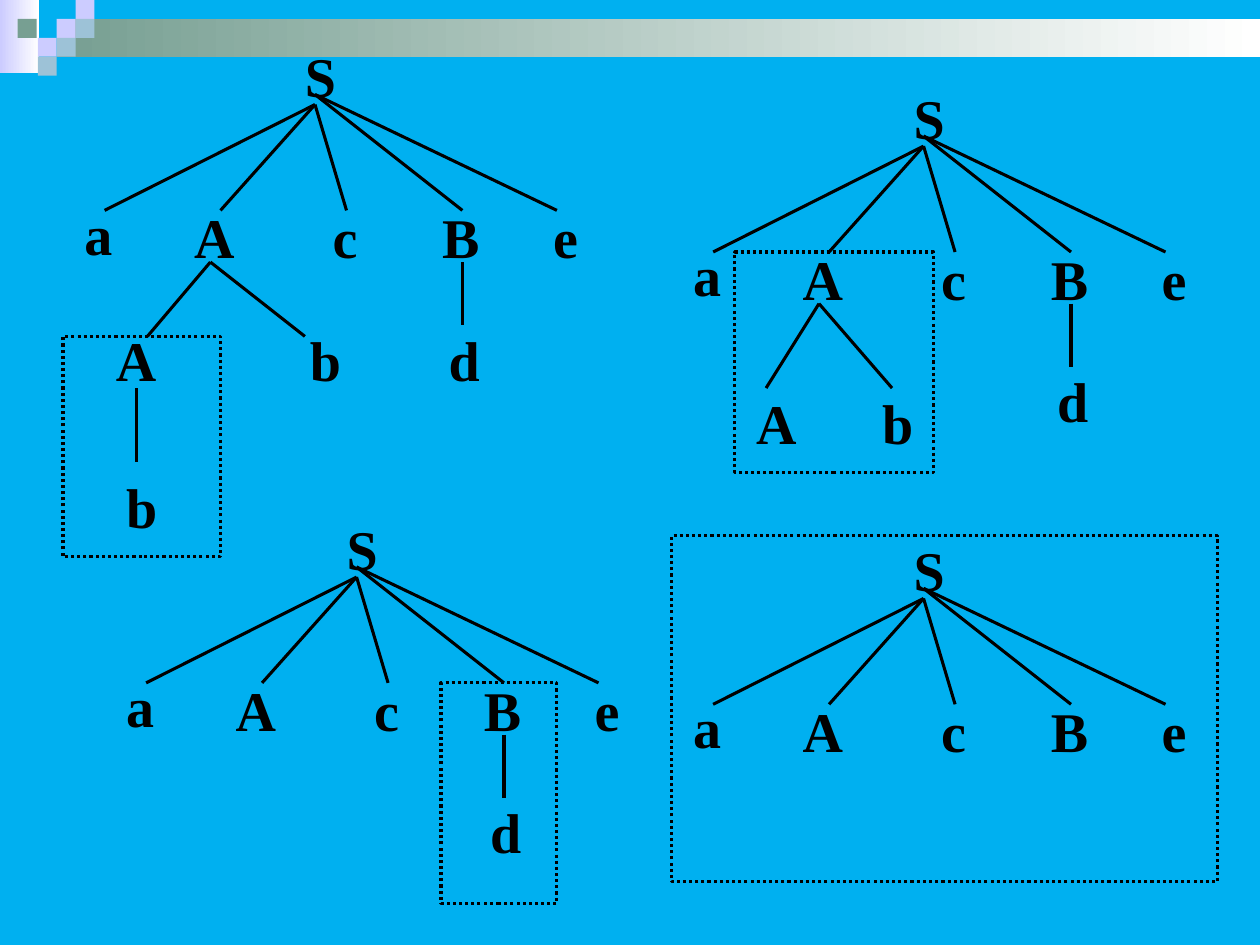
from typing import Any, NamedTuple

from lxml import etree
from pptx import Presentation
from pptx import util as u
from pptx.dml.color import RGBColor
from pptx.enum import dml, shapes, text
from pptx.oxml import ns

SKY = RGBColor(0x00, 0xB0, 0xF0)
BLACK = RGBColor(0x00, 0x00, 0x00)
WHITE = RGBColor(0xFF, 0xFF, 0xFF)
LILAC = RGBColor(0xCC, 0xCC, 0xFF)
SAGE = RGBColor(0x77, 0x9F, 0x92)
MIST = RGBColor(0x9D, 0xC2, 0xD7)

FONT = "Times New Roman"
SIZE = u.Pt(32)
LINE = u.Pt(1.75)
SIDE = 0.15
WIDTHS = {"S": 0.25, "a": 0.22, "A": 0.32, "c": 0.2, "B": 0.3,
          "e": 0.2, "b": 0.25, "d": 0.25}


class Box(NamedTuple):
    x: float
    y: float
    w: float
    h: float


class Label(NamedTuple):
    word: str
    x: float
    y: float


class Edge(NamedTuple):
    x1: float
    y1: float
    x2: float
    y2: float


class Branch(NamedTuple):
    """Labels and edges, measured from the apex of a tree."""
    labels: list[Label]
    edges: list[Edge]


class Tree(NamedTuple):
    x: float
    y: float
    limbs: list[Branch]
    frame: Box


# Branches shared by the trees
ROOT = Branch(
    [Label("S", -0.08, -0.42), Label("a", -1.83, 0.83), Label("A", -0.96, 0.86),
     Label("c", 0.14, 0.86), Label("B", 1.01, 0.86), Label("e", 1.89, 0.86)],
    [Edge(0, 0.08, x, 0.92) for x in (-1.67, -0.75, 0.25)]
    + [Edge(0, 0, x, 0.92) for x in (1.17, 1.92)])
B_TO_D = Branch([Label("d", 1.06, 1.83)], [Edge(1.17, 1.33, 1.17, 1.83)])
A_TO_AB = Branch([Label("A", -1.33, 2), Label("b", -0.33, 2)],
                 [Edge(-0.83, 1.33, x, 2) for x in (-1.25, -0.25)])
A_TO_AB_DEEP = Branch(
    [Label("A", -1.58, 1.83), Label("b", -0.04, 1.83), Label("b", -1.5, 3)],
    [Edge(-0.83, 1.33, x, 1.92) for x in (-1.33, -0.08)]
    + [Edge(-1.42, 2.33, -1.42, 2.92)])

TREES = [
    Tree(2.5, 0.75, [ROOT, B_TO_D, A_TO_AB_DEEP], Box(0.5, 2.67, 1.25, 1.75)),
    Tree(7.33, 1.08, [ROOT, B_TO_D, A_TO_AB], Box(5.83, 2, 1.58, 1.75)),
    Tree(2.83, 4.5, [ROOT, B_TO_D], Box(3.5, 5.42, 0.92, 1.75)),
    Tree(7.33, 4.67, [ROOT], Box(5.33, 4.25, 4.33, 2.75)),
]

BARS = [(Box(0, 0, 0.31, 0.58), LILAC), (Box(0.45, 0.15, 9.55, 0.3), SAGE)]
TILES = [(0.45, 0.15, LILAC), (0.6, 0, LILAC), (0.6, 0.15, MIST),
         (0.3, 0.3, LILAC), (0.14, 0.15, SAGE), (0.45, 0.3, MIST),
         (0.3, 0.45, MIST)]


def add_rect(home: Any, box: Box) -> Any:
    rect = home.shapes.add_shape(shapes.MSO_SHAPE.RECTANGLE,
                                 *(u.Inches(n) for n in box))
    rect.shadow.inherit = False
    return rect


def add_bar(home: Any, box: Box, color: RGBColor) -> None:
    bar = add_rect(home, box)
    bar.line.fill.background()
    bar.fill.gradient()
    bar.fill.gradient_angle = 0
    for stop, tint, place in zip(bar.fill.gradient_stops, (color, WHITE), (0, 1)):
        stop.color.rgb = tint
        stop.position = place


def add_tile(home: Any, x: float, y: float, color: RGBColor) -> None:
    tile = add_rect(home, Box(x, y, SIDE, SIDE))
    tile.line.fill.background()
    tile.fill.solid()
    tile.fill.fore_color.rgb = color


def add_frame(home: Any, box: Box) -> None:
    frame = add_rect(home, box)
    frame.fill.background()
    frame.line.color.rgb = BLACK
    frame.line.width = LINE
    frame.line.dash_style = dml.MSO_LINE.ROUND_DOT


def add_label(home: Any, label: Label, x: float, y: float) -> None:
    box = home.shapes.add_textbox(u.Inches(x + label.x), u.Inches(y + label.y),
                                  u.Inches(WIDTHS[label.word]), u.Inches(0.53))
    frame = box.text_frame
    frame.margin_left = frame.margin_right = 0
    frame.margin_top = frame.margin_bottom = 0
    frame.word_wrap = False
    frame.auto_size = text.MSO_AUTO_SIZE.SHAPE_TO_FIT_TEXT
    para = frame.paragraphs[0]
    para.text = label.word
    para.alignment = text.PP_ALIGN.JUSTIFY
    para.font.name = FONT
    para.font.size = SIZE
    para.font.bold = True
    para.font.color.rgb = BLACK


def add_edge(home: Any, edge: Edge, x: float, y: float) -> None:
    line = home.shapes.add_connector(
        shapes.MSO_CONNECTOR.STRAIGHT,
        u.Inches(x + edge.x1), u.Inches(y + edge.y1),
        u.Inches(x + edge.x2), u.Inches(y + edge.y2))
    line.line.color.rgb = BLACK
    line.line.width = LINE
    etree.SubElement(line._element.spPr, ns.qn("a:effectLst"))


def add_tree(slide: Any, tree: Tree) -> None:
    group = slide.shapes.add_group_shape()
    for limb in tree.limbs:
        for label in limb.labels:
            add_label(group, label, tree.x, tree.y)
        for edge in limb.edges:
            add_edge(group, edge, tree.x, tree.y)
    add_frame(slide, tree.frame)


def main() -> None:
    deck = Presentation()
    deck.slide_width, deck.slide_height = u.Inches(10), u.Inches(7.5)
    slide = deck.slides.add_slide(deck.slide_layouts[6])
    slide.background.fill.solid()
    slide.background.fill.fore_color.rgb = SKY

    # Corner ornament
    corner = slide.shapes.add_group_shape()
    for box, color in BARS:
        add_bar(corner, box, color)
    for x, y, color in TILES:
        add_tile(corner, x, y, color)

    # Parse trees with their dotted handles
    for tree in TREES:
        add_tree(slide, tree)

    deck.save("out.pptx")


if __name__ == "__main__":
    main()
